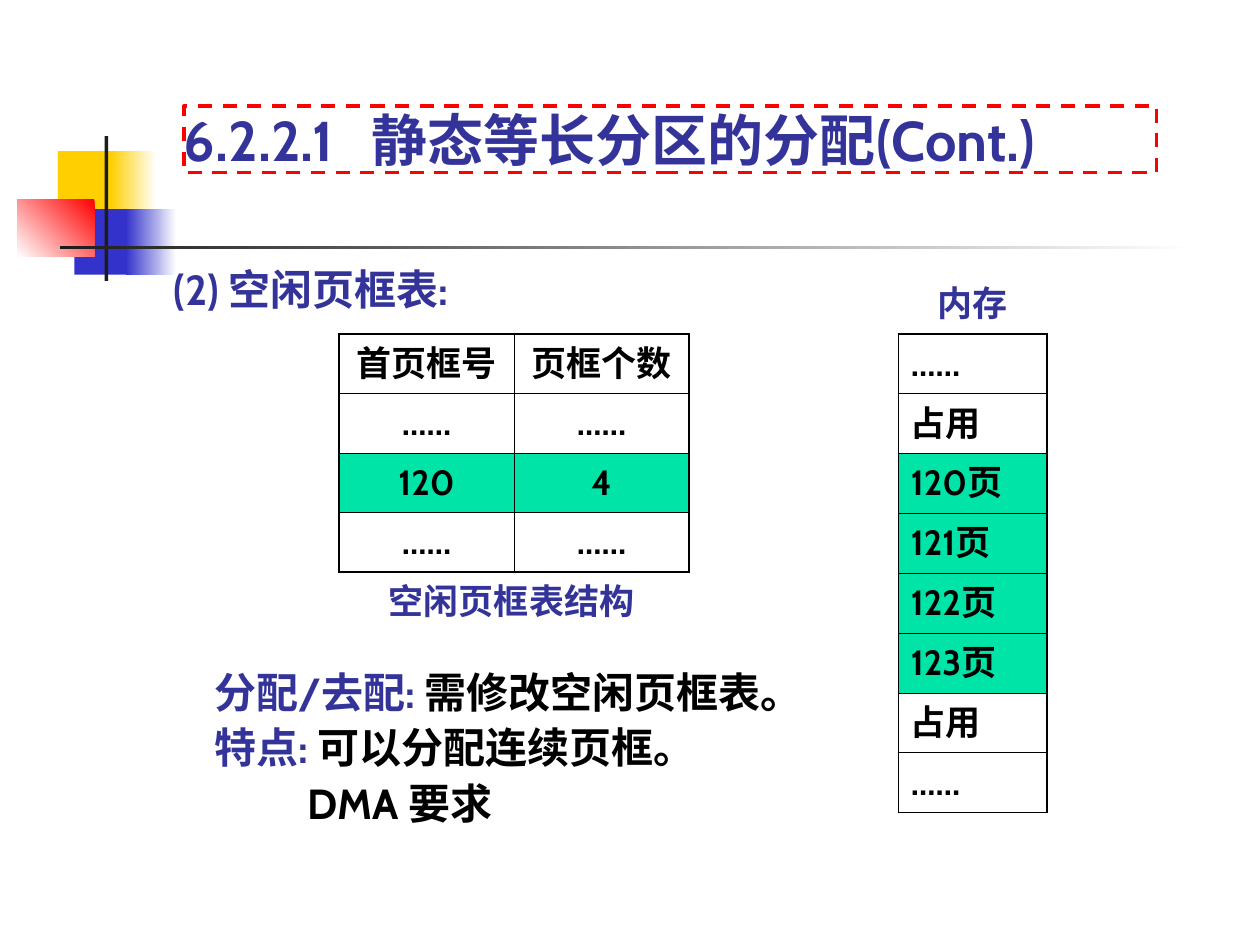
from lxml import etree
from pptx import Presentation
from pptx.dml.color import RGBColor
from pptx.enum.dml import MSO_LINE
from pptx.enum.shapes import MSO_SHAPE
from pptx.enum.text import MSO_ANCHOR, PP_ALIGN
from pptx.oxml.ns import qn
from pptx.util import Inches, Pt

RECT = MSO_SHAPE.RECTANGLE
DASH = MSO_LINE.DASH
TOP, MIDDLE, BOTTOM = MSO_ANCHOR.TOP, MSO_ANCHOR.MIDDLE, MSO_ANCHOR.BOTTOM
LEFT, CENTER = PP_ALIGN.LEFT, PP_ALIGN.CENTER
FONT = "Cabin"
NAVY, BLACK, WHITE, RED = "333399", "000000", "FFFFFF", "FF0000"
GOLD, BLUE, DARK, GREEN = "FFCF01", "3333CC", "1C1C1C", "00E4A8"
THICK, THIN = 1.08, 0.45


def rgb(text):
    return RGBColor.from_string(text)


def style(run, size, color):
    font = run.font
    font.name, font.size, font.bold = FONT, Pt(size), True
    font.color.rgb = rgb(color)
    etree.SubElement(run._r.get_or_add_rPr(), qn("a:ea"), typeface=FONT)


def block(slide, box, fill=None, fade=None, angle=180):
    """Rectangle without a line: no fill, a plain fill or a fade between two colours."""
    shape = slide.shapes.add_shape(RECT, *map(Inches, box))
    shape.shadow.inherit = False
    shape.line.fill.background()
    if fade:
        shape.fill.gradient()
        shape.fill.gradient_angle = angle
        for stop, color in zip(shape.fill.gradient_stops, fade):
            stop.color.rgb = rgb(color)
    elif fill:
        shape.fill.solid()
        shape.fill.fore_color.rgb = rgb(fill)
    else:
        shape.fill.background()
    return shape


def setup(frame, anchor):
    frame.word_wrap = True
    frame.vertical_anchor = anchor
    frame.margin_left = frame.margin_right = 0
    frame.margin_top = frame.margin_bottom = 0


def label(slide, box, text, size, align=LEFT):
    frame = slide.shapes.add_textbox(*map(Inches, box)).text_frame
    setup(frame, BOTTOM)
    frame.text = text
    para = frame.paragraphs[0]
    para.alignment = align
    style(para.runs[0], size, NAVY)


def title(slide, box):
    shape = block(slide, box)
    shape.line.color.rgb = rgb(RED)
    shape.line.width = Pt(2)
    shape.line.dash_style = DASH
    frame = shape.text_frame
    setup(frame, BOTTOM)
    frame.text = "6.2.2.1\t静态等长分区的分配(Cont.)"
    para = frame.paragraphs[0]
    tabs = etree.SubElement(para._p.get_or_add_pPr(), qn("a:tabLst"))
    etree.SubElement(tabs, qn("a:tab"), pos=str(Inches(1.49)), algn="l")
    para.alignment = LEFT
    for run in para.runs:
        style(run, 32, NAVY)


def emblem(slide, left, top):
    """Coloured squares with the crossing bars that underline the title."""
    block(slide, (left + 0.32, top + 0.12, 0.48, 0.52), GOLD)
    block(slide, (left + 0.74, top + 0.12, 0.36, 0.52), fade=(WHITE, GOLD))
    block(slide, (left + 0.45, top + 0.58, 0.46, 0.52), BLUE)
    block(slide, (left + 0.86, top + 0.58, 0.4, 0.52), fade=(WHITE, BLUE))
    block(slide, (left, top + 0.5, 0.61, 0.46), fade=(RED, WHITE), angle=225)
    block(slide, (left + 0.69, top, 0.03, 1.15), DARK)
    block(slide, (left + 0.34, top + 0.87, 9, 0.03), fade=(WHITE, DARK))


def border(cell, sides):
    props = cell._tc.get_or_add_tcPr()
    for spot, (side, width) in enumerate(sides.items()):
        line = etree.Element(qn("a:" + side), w=str(Pt(width)))
        fill = etree.SubElement(line, qn("a:solidFill"))
        etree.SubElement(fill, qn("a:srgbClr"), val=BLACK)
        props.insert(spot, line)


def grid(slide, box, rows, marked, align):
    """Table with equal rows and columns, a thick frame and green marked rows."""
    tall, wide = len(rows), len(rows[0])
    table = slide.shapes.add_table(tall, wide, *map(Inches, box)).table
    table.first_row = table.horz_banding = False
    for col in table.columns:
        col.width = Inches(box[2] / wide)
    for r, row in enumerate(rows):
        table.rows[r].height = Inches(box[3] / tall)
        for c, text in enumerate(row):
            cell = table.cell(r, c)
            cell.vertical_anchor = MIDDLE
            cell.fill.solid()
            cell.fill.fore_color.rgb = rgb(GREEN if r in marked else WHITE)
            edges = {"lnL": c == 0, "lnR": c == wide - 1,
                     "lnT": r == 0, "lnB": r == tall - 1}
            border(cell, {k: THICK if outer else THIN for k, outer in edges.items()})
            cell.text_frame.text = text
            para = cell.text_frame.paragraphs[0]
            para.alignment = align
            para.space_before = Pt(5)
            style(para.runs[0], 20, BLACK)


def notes(slide, box):
    frame = slide.shapes.add_textbox(*map(Inches, box)).text_frame
    setup(frame, TOP)
    lines = [("分配/去配: ", "需修改空闲页框表。"),
             ("特点: ", "可以分配连续页框。"),
             ("", "DMA 要求")]
    for i, (head, body) in enumerate(lines):
        para = frame.paragraphs[0] if i == 0 else frame.add_paragraph()
        para.line_spacing = 1.1
        if not head:
            para._p.get_or_add_pPr().set("marL", str(Inches(0.74)))
        for text, color in ((head, NAVY), (body, BLACK)):
            if text:
                run = para.add_run()
                run.text = text
                style(run, 24, color)


def main():
    deck = Presentation()
    deck.slide_width, deck.slide_height = Inches(10), Inches(7.5)
    slide = deck.slides.add_slide(deck.slide_layouts[6])
    emblem(slide, 0.14, 1.08)
    label(slide, (1.38, 2.09, 2.68, 0.4), "(2) 空闲页框表:", 24)
    frames = [("首页框号", "页框个数"), ("……", "……"), ("120", "4"), ("……", "……")]
    grid(slide, (2.69, 2.65, 2.78, 1.89), frames, {2}, CENTER)
    pages = [f"{n}页" for n in range(120, 124)]
    memory = [(text,) for text in ["……", "占用", *pages, "占用", "……"]]
    grid(slide, (7.13, 2.65, 1.18, 3.8), memory, range(2, 6), LEFT)
    label(slide, (7.44, 2.18, 0.63, 0.39), "内存", 20)
    notes(slide, (1.7, 5.25, 5.03, 1.32))
    title(slide, (1.46, 0.84, 7.72, 0.53))
    label(slide, (2.72, 4.54, 2.68, 0.39), "空闲页框表结构", 20, CENTER)
    deck.save("out.pptx")


if __name__ == "__main__":
    main()
